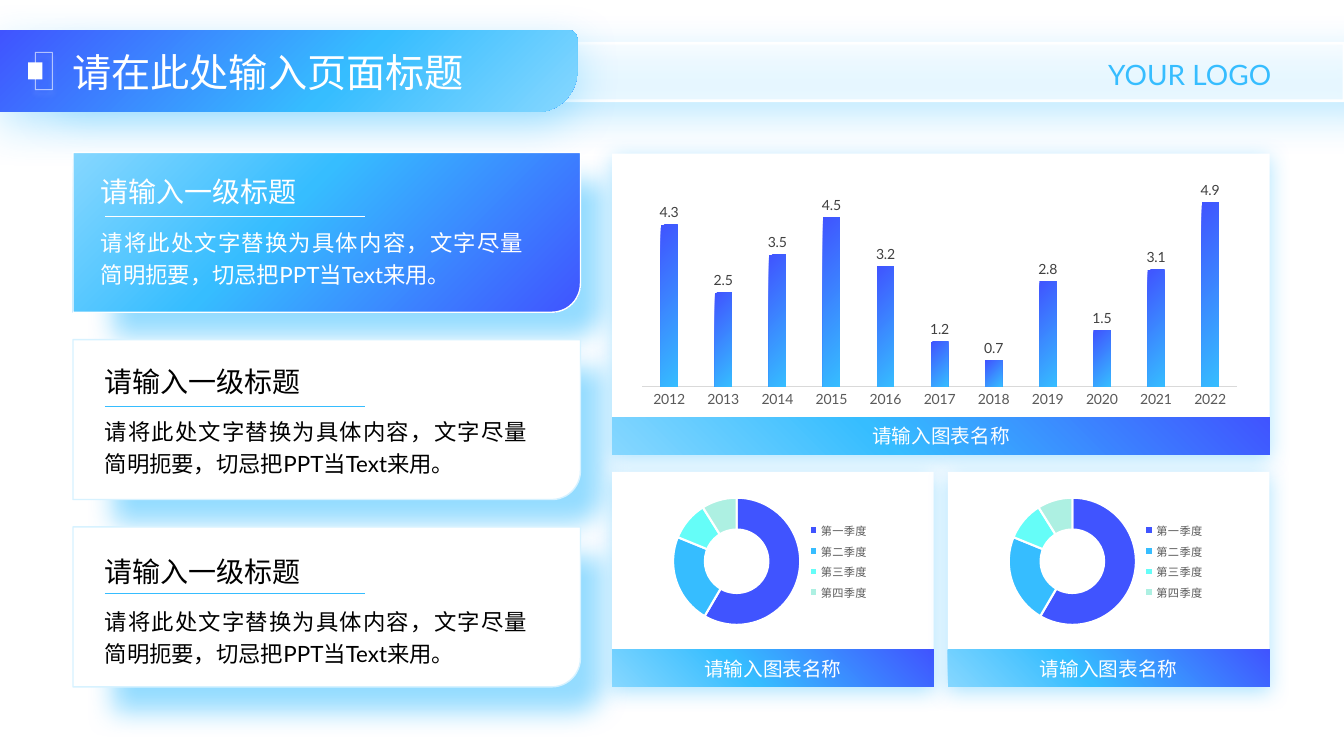
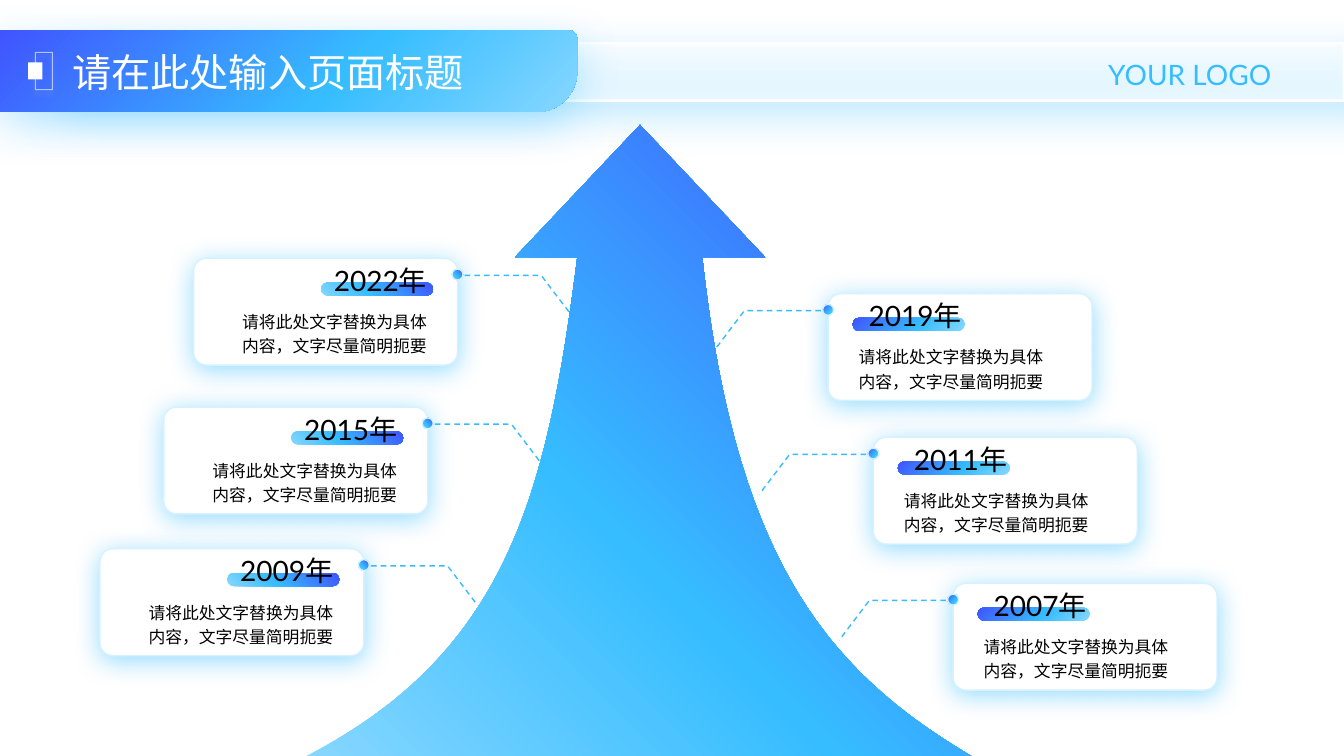
from dataclasses import dataclass
from typing import Any, Optional

import lxml.etree
import pptx
import pptx.chart.chart
import pptx.chart.data
import pptx.dml.color
import pptx.dml.fill
import pptx.enum.chart
import pptx.enum.dml
import pptx.enum.shapes
import pptx.enum.text
import pptx.oxml.ns
import pptx.shapes.autoshape
import pptx.shapes.shapetree
import pptx.slide
import pptx.text.text
import pptx.util

Cm = pptx.util.Cm
Pt = pptx.util.Pt
RGBColor = pptx.dml.color.RGBColor
Shape = pptx.shapes.autoshape.Shape
Shapes = pptx.shapes.shapetree.SlideShapes
Align = pptx.enum.text.PP_ALIGN
Preset = pptx.enum.shapes.MSO_SHAPE
ChartType = pptx.enum.chart.XL_CHART_TYPE
qn = pptx.oxml.ns.qn
Point = tuple[float, float]
Stops = tuple[tuple[int, RGBColor], ...]

FONT = "Lato"
WHITE = RGBColor(0xFF, 0xFF, 0xFF)
BLACK = RGBColor(0x00, 0x00, 0x00)
SKY = RGBColor(0x36, 0xBD, 0xFF)
LIGHT = RGBColor(0x86, 0xD7, 0xFF)
INDIGO = RGBColor(0x40, 0x54, 0xFF)
PALE = RGBColor(0xD7, 0xF2, 0xFF)
AQUA = RGBColor(0x65, 0xFD, 0xF8)
MINT = RGBColor(0xAD, 0xF0, 0xE2)
AXIS_TEXT = RGBColor(0x59, 0x59, 0x59)
LABEL_TEXT = RGBColor(0x40, 0x40, 0x40)
AXIS_LINE = RGBColor(0xD9, 0xD9, 0xD9)
BRAND_STOPS: Stops = ((0, LIGHT), (41, SKY), (100, INDIGO))
HEADER_STOPS: Stops = ((0, INDIGO), (59, SKY), (100, LIGHT))
LOGO_STOPS: Stops = ((0, SKY), (100, INDIGO))
COLUMN_STOPS: Stops = ((0, INDIGO), (100, SKY))

PAGE_TITLE = "请在此处输入页面标题"
CARD_TITLE = "请输入一级标题"
CARD_BODY = "请将此处文字替换为具体内容，文字尽量简明扼要，切忌把PPT当Text来用。"
CHART_NAME = "请输入图表名称"
CALLOUT_BODY = "请将此处文字替换为具体内容，文字尽量简明扼要"
CALLOUT_WIDTH, CALLOUT_HEIGHT = 6.65, 2.69
DOT = 0.28


@dataclass(frozen=True)
class Box:
    left: float
    top: float
    width: float
    height: float

    def lengths(self) -> tuple[int, int, int, int]:
        return Cm(self.left), Cm(self.top), Cm(self.width), Cm(self.height)


@dataclass(frozen=True)
class Shadow:
    alpha: int
    blur: float
    distance: float
    direction: int = 90
    color: RGBColor = SKY
    scale: int = 100


@dataclass(frozen=True)
class Card:
    title_left: float
    title_top: float
    line_top: float
    featured: bool = False


@dataclass(frozen=True)
class Callout:
    year: str
    left: float
    top: float
    on_left: bool


CARDS = (Card(2.29, 4.28, 5.44, True), Card(2.39, 9.05, 10.24), Card(2.39, 13.84, 14.96))
CALLOUTS = (
    Callout("2009年", 2.52, 13.83, True),
    Callout("2015年", 4.13, 10.26, True),
    Callout("2022年", 4.88, 6.51, True),
    Callout("2019年", 20.87, 7.4, False),
    Callout("2011年", 22.01, 11.02, False),
    Callout("2007年", 24.02, 14.7, False),
)
CARD_SHADOW = Shadow(53, 19, 12, scale=96)
PANEL_SHADOW = Shadow(40, 15, 3)
CALLOUT_SHADOW = Shadow(53, 19, 3)


def add_color(parent: Any, color: RGBColor, alpha: int = 100) -> None:
    element = lxml.etree.SubElement(parent, qn("a:srgbClr"), val=str(color))
    if alpha < 100:
        lxml.etree.SubElement(element, qn("a:alpha"), val=str(alpha * 1000))


def apply_gradient(fill: pptx.dml.fill.FillFormat, root: Any, stops: Stops, angle: int) -> None:
    fill.gradient()
    fill.gradient_angle = angle
    stop_list = next(root.iter(qn("a:gsLst")))
    for child in list(stop_list):
        stop_list.remove(child)
    for position, color in stops:
        add_color(lxml.etree.SubElement(stop_list, qn("a:gs"), pos=str(position * 1000)), color)


def set_alpha(shape: Shape, percent: int) -> None:
    color = next(shape.element.iter(qn("a:srgbClr")))
    lxml.etree.SubElement(color, qn("a:alpha"), val=str(percent * 1000))


def apply_shadow(shape: Shape, shadow: Shadow) -> None:
    effects = next(shape.element.iter(qn("a:effectLst")))
    outer = lxml.etree.SubElement(
        effects, qn("a:outerShdw"), blurRad=str(Pt(shadow.blur)), dist=str(Pt(shadow.distance)),
        dir=str(shadow.direction * 60000), sx=str(shadow.scale * 1000),
        sy=str(shadow.scale * 1000), algn="br", rotWithShape="0")
    add_color(outer, shadow.color, shadow.alpha)


def style_shape(shape: Shape, fill: Optional[RGBColor] = None, line: Optional[RGBColor] = None,
                line_width: float = 1, gradient_angle: Optional[int] = None,
                stops: Stops = BRAND_STOPS) -> Shape:
    shape.shadow.inherit = False
    if gradient_angle is not None:
        apply_gradient(shape.fill, shape.element, stops, gradient_angle)
    elif fill is not None:
        shape.fill.solid()
        shape.fill.fore_color.rgb = fill
    else:
        shape.fill.background()
    if line is None:
        shape.line.fill.background()
    else:
        shape.line.color.rgb = line
        shape.line.width = Pt(line_width)
    return shape


def add_preset(shapes: Shapes, preset: Any, box: Box, corner: Optional[float] = None,
               **style: Any) -> Shape:
    shape = shapes.add_shape(preset, *box.lengths())
    if corner is not None:
        shape.adjustments[0] = corner
    return style_shape(shape, **style)


def add_outline(shapes: Shapes, start: Point, segments: list[tuple[Point, ...]],
                closed: bool = True, **style: Any) -> Shape:
    builder = shapes.build_freeform(Cm(start[0]), Cm(start[1]))
    builder.add_line_segments(
        [(Cm(x), Cm(y)) for segment in segments for x, y in segment], close=closed)
    shape = builder.convert_to_shape()
    steps = iter(list(shape.element.iter(qn("a:lnTo"))))
    for segment in segments:
        first = next(steps)
        if len(segment) == 3:
            curve = lxml.etree.Element(qn("a:cubicBezTo"))
            first.addprevious(curve)
            for step in (first, next(steps), next(steps)):
                curve.append(step[0])
                step.getparent().remove(step)
    return style_shape(shape, **style)


def write_text(frame: pptx.text.text.TextFrame, text: str, size: float, color: RGBColor,
               alignment: Any = Align.LEFT, line_spacing: float = 1) -> None:
    frame.word_wrap = True
    frame.text = text
    paragraph = frame.paragraphs[0]
    paragraph.alignment = alignment
    paragraph.line_spacing = line_spacing
    for run in paragraph.runs:
        style_font(run.font, size, color)


def add_text(shapes: Shapes, box: Box, text: str, size: float, color: RGBColor = BLACK,
             alignment: Any = Align.LEFT, line_spacing: float = 1) -> Shape:
    shape = shapes.add_textbox(*box.lengths())
    write_text(shape.text_frame, text, size, color, alignment, line_spacing)
    shape.text_frame.auto_size = pptx.enum.text.MSO_AUTO_SIZE.SHAPE_TO_FIT_TEXT
    return shape


def decorate_layout(layout: pptx.slide.SlideLayout, shapes: Shapes) -> None:
    for placeholder in list(layout.placeholders):
        if placeholder.placeholder_format.idx != 0:
            layout.shapes.element.remove(placeholder.element)
    title = layout.placeholders[0]
    title.left, title.top, title.width, title.height = Box(1.57, 1.09, 25.78, 1.57).lengths()
    strip = add_outline(shapes, (33.87, 1.09), [
        ((33.87, 2.54),), ((1.19, 2.54),),
        ((0.79, 2.54), (0.48, 2.21), (0.48, 1.83)),
        ((0.48, 1.42), (0.79, 1.09), (1.19, 1.09))], fill=WHITE, line=WHITE, line_width=2)
    set_alpha(strip, 59)
    apply_shadow(strip, Shadow(53, 29, 25, 20))
    band = add_outline(shapes, (0, 0.76), [
        ((14.33, 0.76),), ((14.45, 0.76), (14.55, 0.86), (14.55, 0.99)),
        ((14.55, 1.78),), ((14.55, 2.36), (14.1, 2.82), (13.54, 2.82)),
        ((0, 2.82),)], gradient_angle=315, stops=HEADER_STOPS)
    apply_shadow(band, Shadow(32, 31, 10))
    logo = add_text(shapes, Box(27.36, 1.32, 4.93, 1.12), "YOUR LOGO", 20, SKY, Align.RIGHT)
    logo_font = logo.text_frame.paragraphs[0].runs[0].font
    apply_gradient(logo_font.fill, logo.element, LOGO_STOPS, 315)
    frame = add_preset(shapes, Preset.ROUNDED_RECTANGLE, Box(0.89, 1.32, 0.43, 0.94), 0.01,
                       line=WHITE, line_width=0.75)
    set_alpha(frame, 60)
    apply_shadow(frame, Shadow(40, 4, 3, color=PALE))
    marker = add_preset(shapes, Preset.ROUNDED_RECTANGLE, Box(0.71, 1.57, 0.36, 0.43), 0,
                        fill=WHITE)
    for shape in (strip, band, logo, frame, marker):
        layout.shapes.element.append(shape.element)


def write_title(slide: pptx.slide.Slide) -> None:
    frame = slide.shapes.title.text_frame
    write_text(frame, PAGE_TITLE, 28, WHITE, line_spacing=0.9)
    frame.vertical_anchor = pptx.enum.text.MSO_ANCHOR.MIDDLE


def draw_card(shapes: Shapes, card: Card, top: float) -> None:
    look = {"gradient_angle": 45, "line": WHITE} if card.featured else {"fill": WHITE, "line": PALE}
    panel = add_preset(shapes, Preset.ROUND_1_RECTANGLE, Box(1.84, top, 12.79, 4.03), 0.18, **look)
    next(panel.element.iter(qn("a:xfrm"))).set("flipV", "1")
    apply_shadow(panel, CARD_SHADOW)
    color = WHITE if card.featured else BLACK
    add_text(shapes, Box(card.title_left, card.title_top, 6.6, 1.12), CARD_TITLE, 20, color)
    add_text(shapes, Box(card.title_left, card.title_top + 1.23, 11.16, 1.83), CARD_BODY, 16,
             color, Align.JUSTIFY, 1.2)
    rule = shapes.add_connector(pptx.enum.shapes.MSO_CONNECTOR.STRAIGHT, Cm(2.64),
                                Cm(card.line_top), Cm(9.19), Cm(card.line_top))
    rule.line.color.rgb = WHITE if card.featured else SKY
    rule.line.width = Pt(0.5)
    lxml.etree.SubElement(rule.element.spPr, qn("a:effectLst"))


def draw_panel(shapes: Shapes, box: Box) -> None:
    panel = add_preset(shapes, Preset.RECTANGLE, box, fill=WHITE)
    apply_shadow(panel, PANEL_SHADOW)
    caption = add_preset(shapes, Preset.RECTANGLE,
                         Box(box.left, box.top + box.height - 0.94, box.width, 0.94),
                         gradient_angle=45)
    write_text(caption.text_frame, CHART_NAME, 14, WHITE, Align.CENTER)
    caption.text_frame.vertical_anchor = pptx.enum.text.MSO_ANCHOR.MIDDLE


def style_font(font: pptx.text.text.Font, size: float, color: RGBColor) -> None:
    font.name = FONT
    font.size = Pt(size)
    font.color.rgb = color


def add_chart(shapes: Shapes, kind: Any, box: Box, categories: tuple[str, ...],
              values: tuple[float, ...]) -> pptx.chart.chart.Chart:
    data = pptx.chart.data.CategoryChartData()
    data.categories = categories
    data.add_series("Series 1", values)
    chart = shapes.add_chart(kind, *box.lengths(), data).chart
    chart.has_title = False
    chart.has_legend = False
    style_font(chart.font, 10, BLACK)
    return chart


def draw_columns(shapes: Shapes) -> None:
    chart = add_chart(shapes, ChartType.COLUMN_CLUSTERED, Box(15.87, 3.92, 15.62, 6.48),
                      tuple(str(year) for year in range(2012, 2023)),
                      (4.3, 2.5, 3.5, 4.5, 3.2, 1.2, 0.7, 2.8, 1.5, 3.1, 4.9))
    plot = chart.plots[0]
    plot.vary_by_categories = False
    plot.gap_width, plot.overlap = 219, -27
    apply_gradient(plot.series[0].format.fill, chart.element, COLUMN_STOPS, 315)
    plot.has_data_labels = True
    plot.data_labels.show_value = True
    plot.data_labels.position = pptx.enum.chart.XL_LABEL_POSITION.OUTSIDE_END
    style_font(plot.data_labels.font, 10, LABEL_TEXT)
    chart.value_axis.minimum_scale, chart.value_axis.maximum_scale = 0, 6
    chart.value_axis.has_major_gridlines = False
    chart.value_axis.visible = False
    axis = chart.category_axis
    axis.major_tick_mark = pptx.enum.chart.XL_TICK_MARK.NONE
    axis.format.line.color.rgb = AXIS_LINE
    axis.format.line.width = Pt(0.75)
    style_font(axis.tick_labels.font, 10, AXIS_TEXT)


def manual_layout(**fractions: float) -> Any:
    layout = lxml.etree.Element(qn("c:layout"))
    manual = lxml.etree.SubElement(layout, qn("c:manualLayout"))
    for mode in ("xMode", "yMode"):
        lxml.etree.SubElement(manual, qn(f"c:{mode}"), val="edge")
    for name, value in fractions.items():
        lxml.etree.SubElement(manual, qn(f"c:{name}"), val=str(value))
    return layout


def draw_doughnut(shapes: Shapes, box: Box) -> None:
    chart = add_chart(shapes, ChartType.DOUGHNUT, box,
                      ("第一季度", "第二季度", "第三季度", "第四季度"), (59, 23, 10, 9))
    for index, color in enumerate((INDIGO, SKY, AQUA, MINT)):
        point = chart.plots[0].series[0].points[index]
        point.format.fill.solid()
        point.format.fill.fore_color.rgb = color
        point.format.line.color.rgb = WHITE
        point.format.line.width = Pt(1.5)
    chart.has_legend = True
    chart.legend.position = pptx.enum.chart.XL_LEGEND_POSITION.RIGHT
    chart.legend.include_in_layout = False
    style_font(chart.legend.font, 8, AXIS_TEXT)
    for layout in list(chart.element.iter(qn("c:layout"))):
        layout.getparent().remove(layout)
    next(chart.element.iter(qn("c:plotArea"))).insert(0, manual_layout(x=0.17, y=0.09, w=0.42, h=0.82))
    next(chart.element.iter(qn("c:legendPos"))).addnext(manual_layout(x=0.61, y=0.22, w=0.21, h=0.56))
    next(chart.element.iter(qn("c:holeSize"))).set("val", "64")


def draw_callout(shapes: Shapes, callout: Callout) -> None:
    def inset_box(inset: float, top: float, width: float, height: float) -> Box:
        shift = CALLOUT_WIDTH - inset - width if callout.on_left else inset
        return Box(callout.left + shift, callout.top + top, width, height)

    angle = 45 if callout.on_left else 135
    panel = add_preset(shapes, Preset.ROUNDED_RECTANGLE,
                       inset_box(0, 0, CALLOUT_WIDTH, CALLOUT_HEIGHT), 0.12, fill=WHITE, line=PALE)
    apply_shadow(panel, CALLOUT_SHADOW)
    add_text(shapes, inset_box(0.52, 1.12, 5.49, 1.45), CALLOUT_BODY, 12,
             alignment=Align.RIGHT if callout.on_left else Align.LEFT, line_spacing=1.2)
    add_preset(shapes, Preset.OVAL, inset_box(-DOT / 2, 0.27, DOT, DOT),
               gradient_angle=angle, line=PALE)
    add_preset(shapes, Preset.ROUNDED_RECTANGLE, inset_box(0.62, 0.61, 2.82, 0.33), 0.5,
               gradient_angle=angle)
    add_text(shapes, inset_box(0.52, 0, 3.1, 1.12), callout.year, 20, alignment=Align.RIGHT)
    direction = 1 if callout.on_left else -1
    edge = callout.left + (CALLOUT_WIDTH if callout.on_left else 0)
    start, bend, end = (edge + direction * reach for reach in (0.18, 2.11, 2.87))
    level = callout.top + 0.43
    leader = add_outline(shapes, (start, level), [((bend, level),), ((end, level + 1),)],
                         closed=False, line=SKY)
    leader.line.dash_style = pptx.enum.dml.MSO_LINE.DASH


def draw_dashboard(shapes: Shapes) -> None:
    for index, card in enumerate(CARDS):
        draw_card(shapes, card, 3.84 + index * 4.72)
    draw_panel(shapes, Box(15.43, 3.87, 16.57, 7.59))
    draw_columns(shapes)
    for left in (15.43, 23.89):
        draw_panel(shapes, Box(left, 11.89, 8.1, 5.42))
        draw_doughnut(shapes, Box(left + 0.22, 12.19, 7.67, 3.91))


def draw_timeline(shapes: Shapes) -> None:
    add_outline(shapes, (12.98, 6.48), [
        ((16.13, 3.15),), ((19.28, 6.48),), ((17.7, 6.48),),
        ((18.54, 14.22), (20.93, 16.97), (24.56, 19.1)), ((7.67, 19.08),),
        ((12.78, 16.48), (13.79, 12.47), (14.55, 6.48))], gradient_angle=45)
    for callout in CALLOUTS:
        draw_callout(shapes, callout)


def main() -> None:
    presentation = pptx.Presentation()
    presentation.slide_width, presentation.slide_height = Cm(33.87), Cm(19.05)
    layout = presentation.slide_layouts[5]
    slides = [presentation.slides.add_slide(layout) for _ in range(2)]
    decorate_layout(layout, slides[0].shapes)
    for slide, draw in zip(slides, (draw_dashboard, draw_timeline)):
        write_title(slide)
        draw(slide.shapes)
    presentation.save("out.pptx")


if __name__ == "__main__":
    main()
